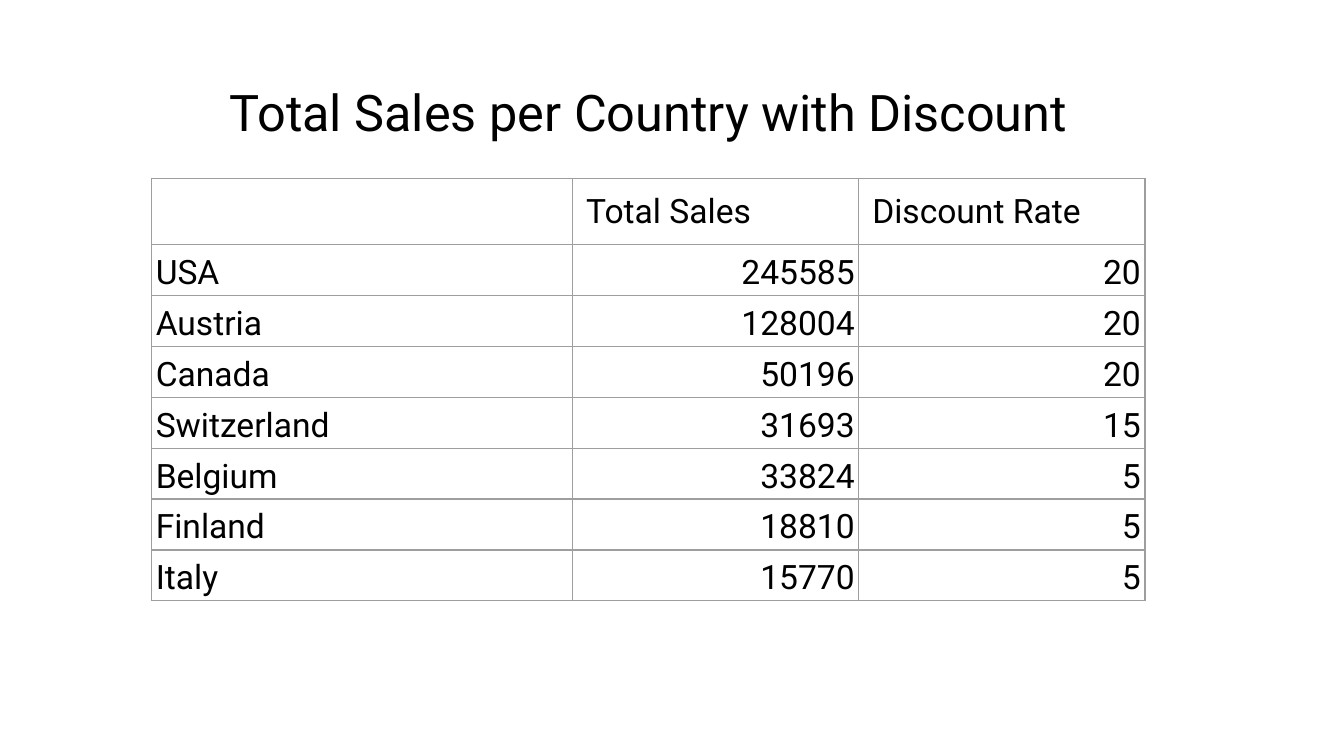
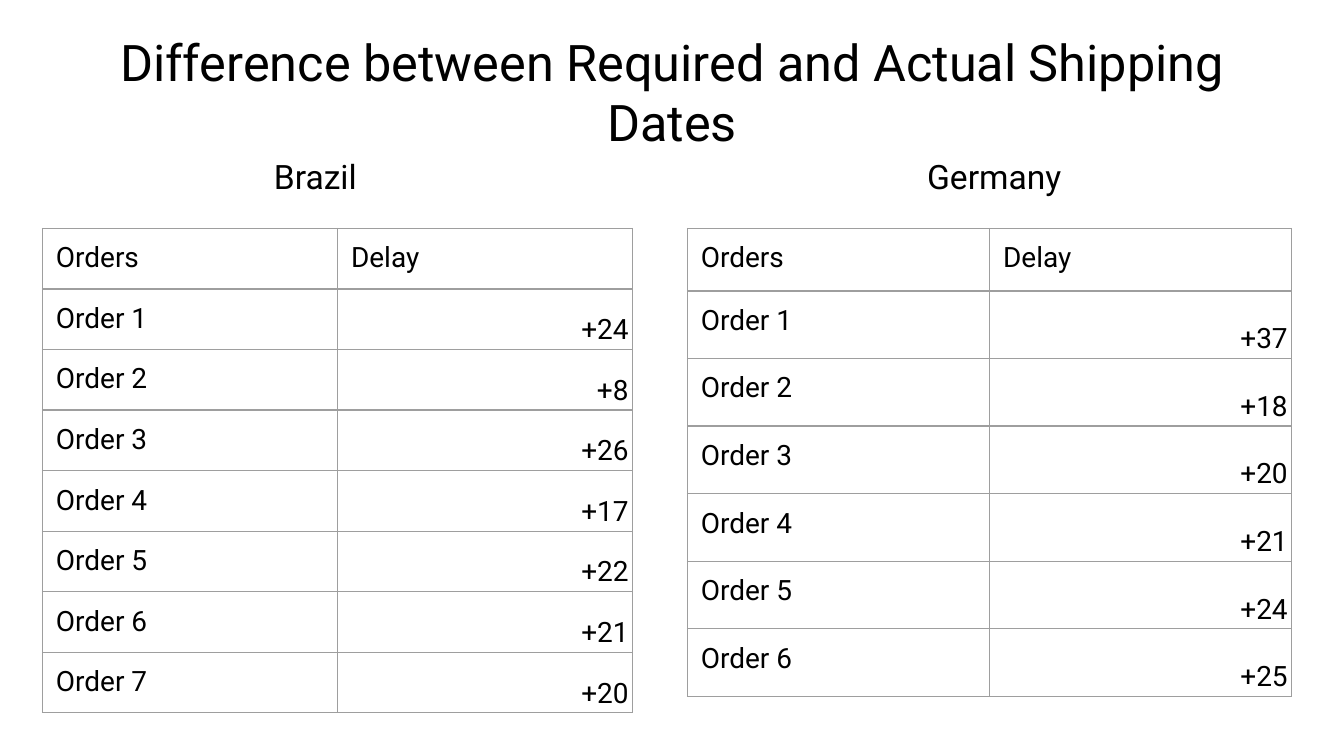
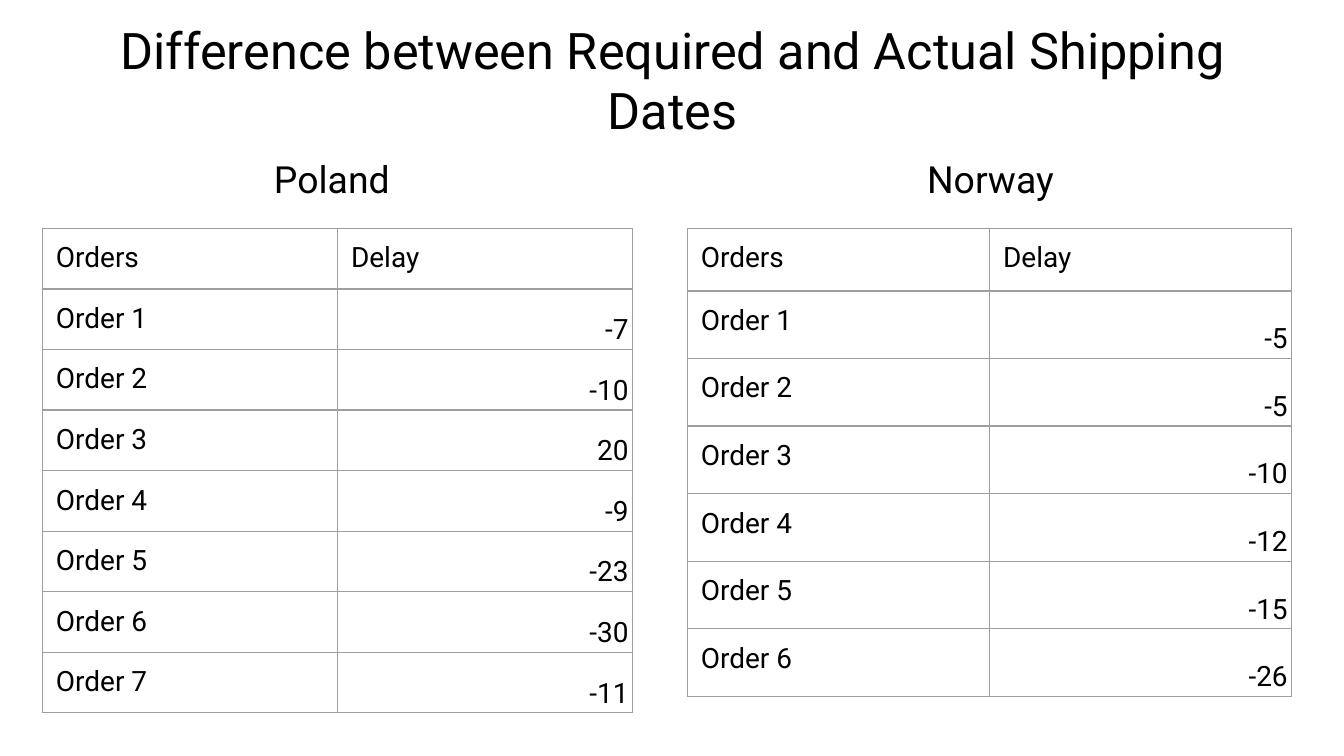
from lxml import etree
from pptx import Presentation
from pptx.dml.color import RGBColor
from pptx.enum.text import MSO_ANCHOR, MSO_AUTO_SIZE, PP_ALIGN
from pptx.oxml.ns import qn
from pptx.util import Pt

LEFT, MID, RIGHT = PP_ALIGN.LEFT, PP_ALIGN.CENTER, PP_ALIGN.RIGHT
TOP, BASE = MSO_ANCHOR.TOP, MSO_ANCHOR.BOTTOM
GROW = MSO_AUTO_SIZE.SHAPE_TO_FIT_TEXT
FONT, INK, RULE = "Roboto", "000000", "9E9E9E"
WIDE, TIGHT = (7.2, 7.2), (2.25, 1.5)
SHIP = "Difference between Required and Actual Shipping Dates"

SALES = [
    ("", "Total Sales", "Discount Rate"),
    ("USA", "245585", "20"),
    ("Austria", "128004", "20"),
    ("Canada", "50196", "20"),
    ("Switzerland", "31693", "15"),
    ("Belgium", "33824", "5"),
    ("Finland", "18810", "5"),
    ("Italy", "15770", "5"),
]


def color(code):
    """Turn a hex string into a colour."""
    return RGBColor.from_string(code)


def style(para, size, align):
    """Set the font and alignment of a paragraph."""
    para.alignment = align
    para.font.name = FONT
    para.font.size = Pt(size)
    para.font.color.rgb = color(INK)


def inset(item, pad):
    """Set the margins of a cell or text frame."""
    item.margin_left = item.margin_right = Pt(pad[0])
    item.margin_top = item.margin_bottom = Pt(pad[1])


def label(slide, box, text, size, align=LEFT):
    """Place a line of text in a box."""
    frame = slide.shapes.add_textbox(*map(Pt, box)).text_frame
    frame.word_wrap = True
    frame.auto_size = GROW
    inset(frame, WIDE)
    frame.text = text
    style(frame.paragraphs[0], size, align)


def edge(cell):
    """Draw a thin rule on all four sides of a cell."""
    props = cell._tc.get_or_add_tcPr()
    for spot, side in enumerate(("lnL", "lnR", "lnT", "lnB")):
        line = etree.Element(qn("a:" + side), w=str(Pt(0.75)))
        fill = etree.SubElement(line, qn("a:solidFill"))
        etree.SubElement(fill, qn("a:srgbClr"), val=RULE)
        props.insert(spot, line)


def write(cell, text, size, align, tight):
    """Fill one cell, either roomy at the top or tight at the bottom."""
    cell.text = text
    cell.fill.background()
    cell.vertical_anchor = BASE if tight else TOP
    inset(cell, TIGHT if tight else WIDE)
    para = cell.text_frame.paragraphs[0]
    style(para, size, align)
    if tight:
        para.line_spacing = 1.15
    edge(cell)


def grid(slide, spot, rows, cols, head, step, size, snug):
    """Place a table; snug sets the first column tight as well."""
    high = head + step * (len(rows) - 1)
    box = (*spot, sum(cols), high)
    table = slide.shapes.add_table(len(rows), len(cols), *map(Pt, box)).table
    table.first_row = table.horz_banding = False
    for col, width in zip(table.columns, cols):
        col.width = Pt(width)
    for i, row in enumerate(rows):
        table.rows[i].height = Pt(step if i else head)
        for j, text in enumerate(row):
            align = RIGHT if i and j else LEFT
            write(table.cell(i, j), text, size, align, i > 0 and (j > 0 or snug))


def delays(slide, left, name, values, shift, width, head, step, size):
    """Place a country name above its table of order delays."""
    rows = [("Orders", "Delay")]
    rows += [(f"Order {n}", value) for n, value in enumerate(values, 1)]
    grid(slide, (left, 122.4), rows, (width, width), head, step, 15, False)
    label(slide, (left + shift, 76.3, 114, size * 1.2 + 14.4), name, size)


def sales(deck):
    """Build the slide of sales and discounts."""
    slide = deck.slides.add_slide(deck.slide_layouts[6])
    grid(slide, (81.2, 95.6), SALES, (225.6, 153.3, 153.3), 35.4, 27.25, 18, True)
    title = "Total Sales per Country with Discount"
    label(slide, (30.2, 36, 634.3, 47.5), title, 27, MID)


def pair(deck, box, size, step, one, two):
    """Build a slide that sets two countries side by side."""
    slide = deck.slides.add_slide(deck.slide_layouts[6])
    delays(slide, 22.8, *one, 116.9, 158.1, step, step, size)
    delays(slide, 368.3, *two, 121.3, 161.9, 33.5, 36.2, size)
    label(slide, box, SHIP, 27, MID)


def main():
    """Build and save the deck."""
    deck = Presentation()
    deck.slide_width, deck.slide_height = Pt(720), Pt(405)
    sales(deck)
    pair(
        deck, (20.9, 9.4, 678.2, 145.4), 18, 32.35,
        ("Brazil", ("+24", "+8", "+26", "+17", "+22", "+21", "+20")),
        ("Germany", ("+37", "+18", "+20", "+21", "+24", "+25")),
    )
    pair(
        deck, (48.2, 2.9, 624.2, 113), 20, 32,
        ("Poland", ("-7", "-10", "20", "-9", "-23", "-30", "-11")),
        ("Norway", ("-5", "-5", "-10", "-12", "-15", "-26")),
    )
    deck.save("out.pptx")


main()
